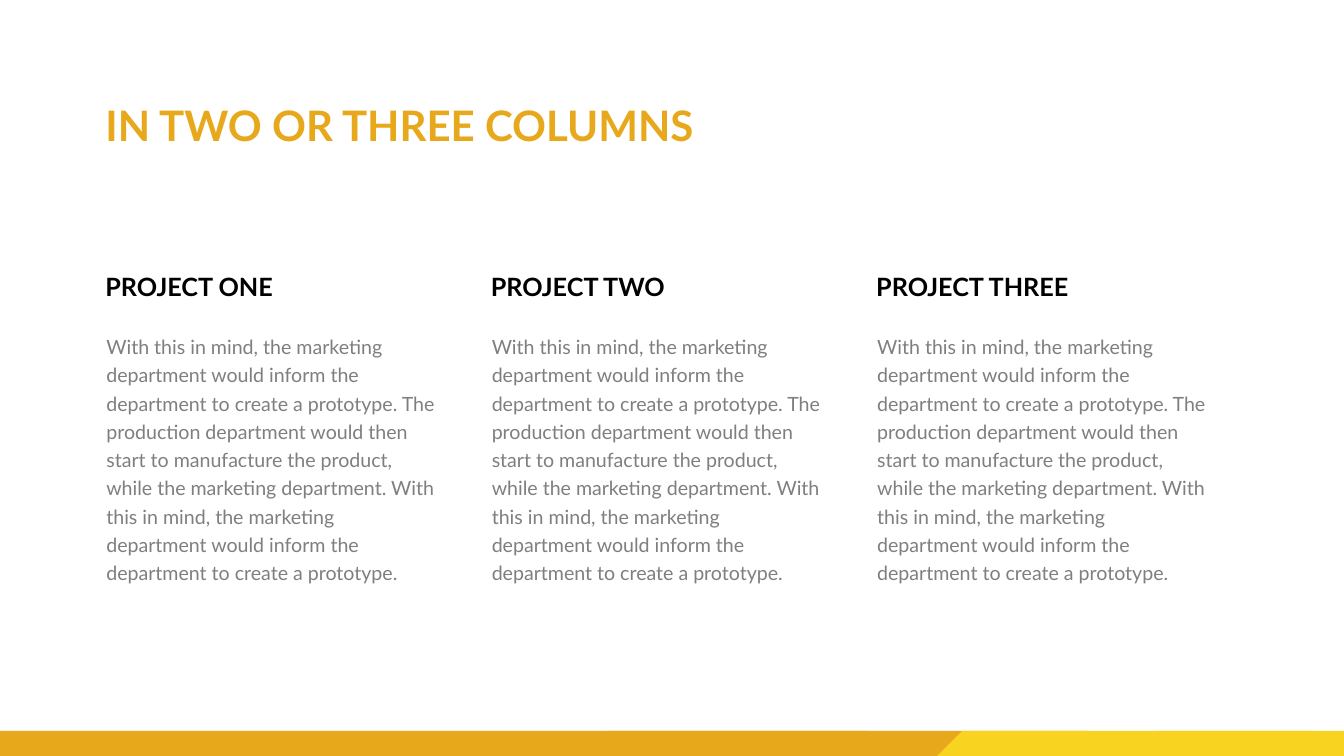
import pptx
import pptx.dml.color
import pptx.enum.shapes
import pptx.enum.text
import pptx.util

Cm = pptx.util.Cm
RGBColor = pptx.dml.color.RGBColor
MSO_SHAPE = pptx.enum.shapes.MSO_SHAPE

AMBER = RGBColor(0xE7, 0xA8, 0x1B)
YELLOW = RGBColor(0xF8, 0xD4, 0x21)
BLACK = RGBColor(0x00, 0x00, 0x00)
GREY = RGBColor(0x7F, 0x7F, 0x7F)

FONT = "Lato"
SLIDE_WIDTH, SLIDE_HEIGHT = 67.72, 38.1
MARGIN = 5.06
COLUMN_PITCH = 19.42
BODY_OUTDENT = 0.31
BAND_HEIGHT = 1.27

PROJECTS = ["PROJECT ONE", "PROJECT TWO", "PROJECT THREE"]
BODY = (
    "With this in mind, the marketing department would inform the department "
    "to create a prototype. The production department would then start to "
    "manufacture the product, while the marketing department. With this in "
    "mind, the marketing department would inform the department to create a "
    "prototype."
)


def format_text(shape, text, size, color, bold=False):
    """Fill a shape with one left-aligned paragraph, starting at the top."""
    frame = shape.text_frame
    frame.text = text
    frame.word_wrap = True
    frame.auto_size = pptx.enum.text.MSO_AUTO_SIZE.NONE
    frame.vertical_anchor = pptx.enum.text.MSO_ANCHOR.TOP
    paragraph = frame.paragraphs[0]
    paragraph.alignment = pptx.enum.text.PP_ALIGN.LEFT
    font = paragraph.runs[0].font
    font.name = FONT
    font.size = pptx.util.Pt(size)
    font.bold = bold
    font.color.rgb = color


def set_title(slide, text):
    title = slide.shapes.title
    title.left, title.top = Cm(MARGIN), Cm(4.88)
    title.width, title.height = Cm(40.67), Cm(2.82)
    format_text(title, text, 60, AMBER, bold=True)


def add_column(slide, left, heading, body):
    """Add a project heading with its description below."""
    body_box = slide.shapes.add_textbox(
        Cm(left - BODY_OUTDENT), Cm(16.35), Cm(17.85), Cm(13.54)
    )
    format_text(body_box, body, 28, GREY)
    frame = body_box.text_frame
    frame.margin_left = frame.margin_right = Cm(0.61)
    frame.margin_top = frame.margin_bottom = Cm(0.3)
    frame.paragraphs[0].line_spacing = 1.2

    heading_box = slide.shapes.add_textbox(Cm(left), Cm(13.54), Cm(11.5), Cm(1.8))
    format_text(heading_box, heading, 36, BLACK, bold=True)


def add_band_part(slide, kind, left, width, color):
    """Add one piece of the band along the bottom edge."""
    shape = slide.shapes.add_shape(
        kind, Cm(left), Cm(SLIDE_HEIGHT - BAND_HEIGHT), Cm(width), Cm(BAND_HEIGHT)
    )
    if kind == MSO_SHAPE.PARALLELOGRAM:
        shape.adjustments[0] = 1.0
    shape.shadow.inherit = False
    shape.fill.solid()
    shape.fill.fore_color.rgb = color
    shape.line.fill.background()


def main():
    presentation = pptx.Presentation()
    presentation.slide_width = Cm(SLIDE_WIDTH)
    presentation.slide_height = Cm(SLIDE_HEIGHT)
    slide = presentation.slides.add_slide(presentation.slide_layouts.get_by_name("Title Only"))

    set_title(slide, "IN TWO OR THREE COLUMNS")

    # Three equal project columns
    for index, project in enumerate(PROJECTS):
        add_column(slide, MARGIN + index * COLUMN_PITCH, project, BODY)

    # Bottom band: amber on the left, yellow over its slanted end
    add_band_part(slide, MSO_SHAPE.RECTANGLE, 0, 43.82, AMBER)
    add_band_part(slide, MSO_SHAPE.PARALLELOGRAM, 29.34, 25.5, AMBER)
    add_band_part(slide, MSO_SHAPE.RECTANGLE, 58.24, SLIDE_WIDTH - 58.24, YELLOW)
    add_band_part(slide, MSO_SHAPE.PARALLELOGRAM, 47.22, 18.97, YELLOW)

    presentation.save("out.pptx")


if __name__ == "__main__":
    main()
